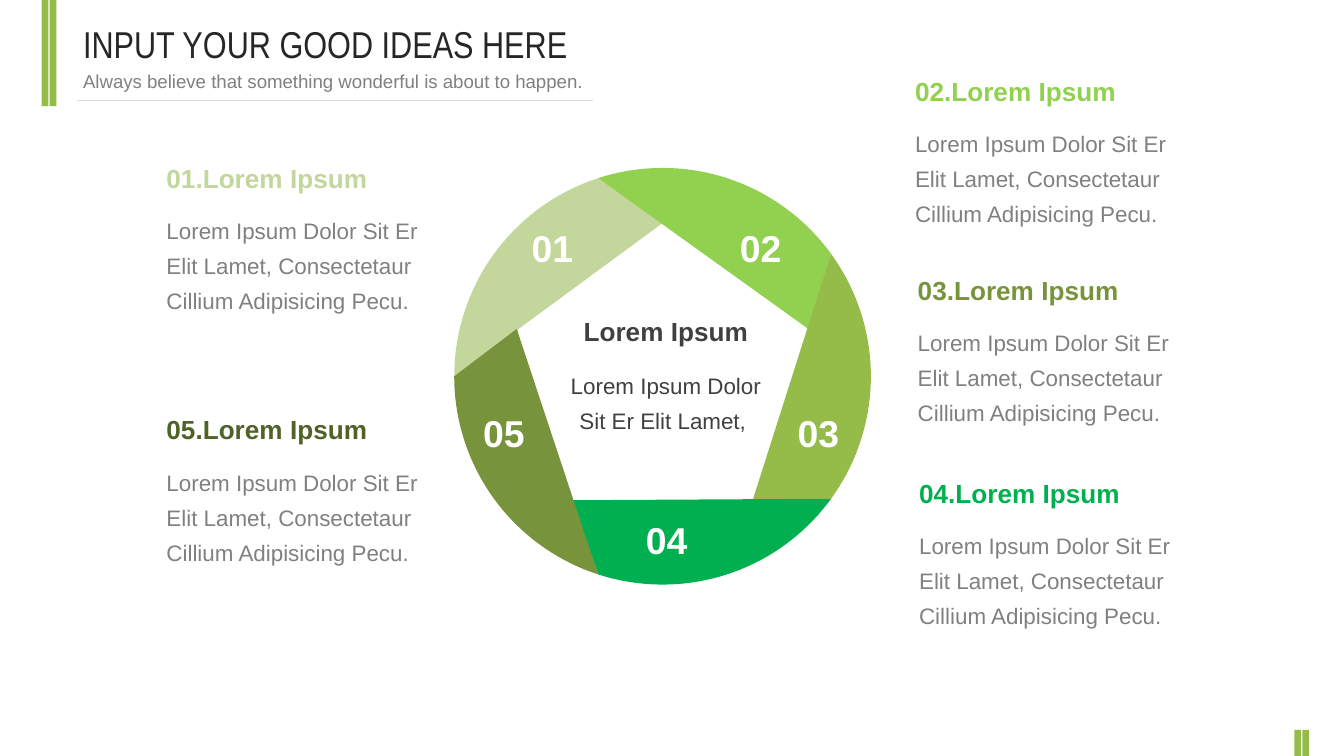
from dataclasses import dataclass
from math import cos, radians, sin

from lxml.etree import SubElement
from pptx import Presentation
from pptx.dml.color import RGBColor
from pptx.enum.shapes import MSO_CONNECTOR, MSO_SHAPE
from pptx.enum.text import MSO_AUTO_SIZE, PP_ALIGN
from pptx.oxml.ns import qn
from pptx.util import Inches, Pt


@dataclass(frozen=True)
class Theme:
    font: str = "Arial"
    title_font: str = "Arial Narrow"
    title: str = "262626"
    muted: str = "808080"
    dark: str = "404040"
    white: str = "FFFFFF"
    accent: str = "95BC49"
    rule: str = "D9D9D9"
    title_size: int = 20
    subtitle_size: int = 10
    number_size: int = 20
    heading_size: int = 14
    body_size: int = 12


THEME = Theme()
SLIDE_W = 10
SLIDE_H = SLIDE_W * 9 / 16
CENTER_X, CENTER_Y = 4.93, 2.8
OUTER_R, INNER_R = 1.55, 1.14
BLADE_ANGLE = 72
BODY = "Lorem Ipsum Dolor Sit Er Elit Lamet, Consectetaur Cillium Adipisicing Pecu."

# number, blade colour, heading colour, number position, heading position
ITEMS = [
    ("01", "C3D69B", "C3D69B", (3.73, 1.63), (1.14, 1.16)),
    ("02", "92D050", "92D050", (5.28, 1.63), (6.71, 0.51)),
    ("03", "95BC49", "77933C", (5.71, 3.00), (6.73, 1.99)),
    ("04", "00B050", "00B050", (4.58, 3.80), (6.74, 3.50)),
    ("05", "77933C", "4F6228", (3.37, 3.00), (1.14, 3.03)),
]


def paint(sp, color):
    sp.shadow.inherit = False
    sp.fill.solid()
    sp.fill.fore_color.rgb = RGBColor.from_string(color)
    sp.line.fill.background()


def add_bar(slide, x, y, height):
    sp = slide.shapes.add_shape(
        MSO_SHAPE.RECTANGLE, Inches(x), Inches(y), Inches(0.05), Inches(height))
    paint(sp, THEME.accent)


def add_rule(slide, x1, x2, y):
    line = slide.shapes.add_connector(
        MSO_CONNECTOR.STRAIGHT, Inches(x1), Inches(y), Inches(x2), Inches(y))
    line.line.color.rgb = RGBColor.from_string(THEME.rule)
    line.line.width = Pt(0.75)
    SubElement(line._element.spPr, qn("a:effectLst"))


def add_text(slide, text, box, size, color, bold=False, font=THEME.font,
             align=PP_ALIGN.LEFT):
    tf = slide.shapes.add_textbox(*map(Inches, box)).text_frame
    tf.word_wrap = True
    tf.auto_size = MSO_AUTO_SIZE.SHAPE_TO_FIT_TEXT
    p = tf.paragraphs[0]
    p.text = text
    p.alignment = align
    p.font.name = font
    p.font.size = Pt(size)
    p.font.bold = bold
    p.font.color.rgb = RGBColor.from_string(color)
    return p


def add_body(slide, text, box, color, align=PP_ALIGN.LEFT):
    p = add_text(slide, text, box, THEME.body_size, color, align=align)
    p.line_spacing = 1.3
    p.space_before = Pt(6)


def wheel_point(radius, degrees):
    angle = radians(degrees)
    return (Inches(CENTER_X + radius * cos(angle)),
            Inches(CENTER_Y + radius * sin(angle)))


def add_blade(slide, start, color):
    """Draw one rim arc closed through a corner of the inner pentagon."""
    arc = [wheel_point(OUTER_R, start + step) for step in range(0, BLADE_ANGLE + 1, 2)]
    corner = wheel_point(INNER_R, start + 90)
    builder = slide.shapes.build_freeform(*arc[0])
    builder.add_line_segments(arc[1:] + [corner], close=True)
    paint(builder.convert_to_shape(), color)


def add_header(slide):
    for x in (0.31, 0.37):
        add_bar(slide, x, 0, 0.79)
    for x in (9.69, 9.63):
        add_bar(slide, x, 5.43, SLIDE_H - 5.43)
    add_rule(slide, 0.57, 4.41, 0.75)
    add_text(slide, "INPUT YOUR GOOD IDEAS HERE", (0.52, 0.11, 4.23, 0.44),
             THEME.title_size, THEME.title, font=THEME.title_font)
    add_text(slide, "Always believe that something wonderful is about to happen.",
             (0.52, 0.47, 4.23, 0.27), THEME.subtitle_size, THEME.muted)


def add_wheel(slide):
    for i, (_, color, *_) in enumerate(ITEMS):
        add_blade(slide, 180 + i * BLADE_ANGLE, color)
    for number, _, _, position, _ in ITEMS:
        add_text(slide, number, (*position, 0.76, 0.44), THEME.number_size,
                 THEME.white, bold=True, align=PP_ALIGN.CENTER)
    add_text(slide, "Lorem Ipsum", (4.24, 2.3, 1.43, 0.34), THEME.heading_size,
             THEME.dark, bold=True, align=PP_ALIGN.CENTER)
    add_body(slide, "Lorem Ipsum Dolor Sit Er Elit Lamet, ", (4.03, 2.66, 1.85, 0.63),
             THEME.dark, PP_ALIGN.CENTER)


def add_descriptions(slide):
    for number, _, color, _, (x, y) in ITEMS:
        add_text(slide, f"{number}.Lorem Ipsum", (x, y, 2.12, 0.34),
                 THEME.heading_size, color, bold=True)
        add_body(slide, BODY, (x, y + 0.35, 2.12, 0.89), THEME.muted)


def main():
    prs = Presentation()
    prs.slide_width, prs.slide_height = Inches(SLIDE_W), Inches(SLIDE_H)
    slide = prs.slides.add_slide(prs.slide_layouts[6])
    add_header(slide)
    add_wheel(slide)
    add_descriptions(slide)
    prs.save("out.pptx")


if __name__ == "__main__":
    main()
